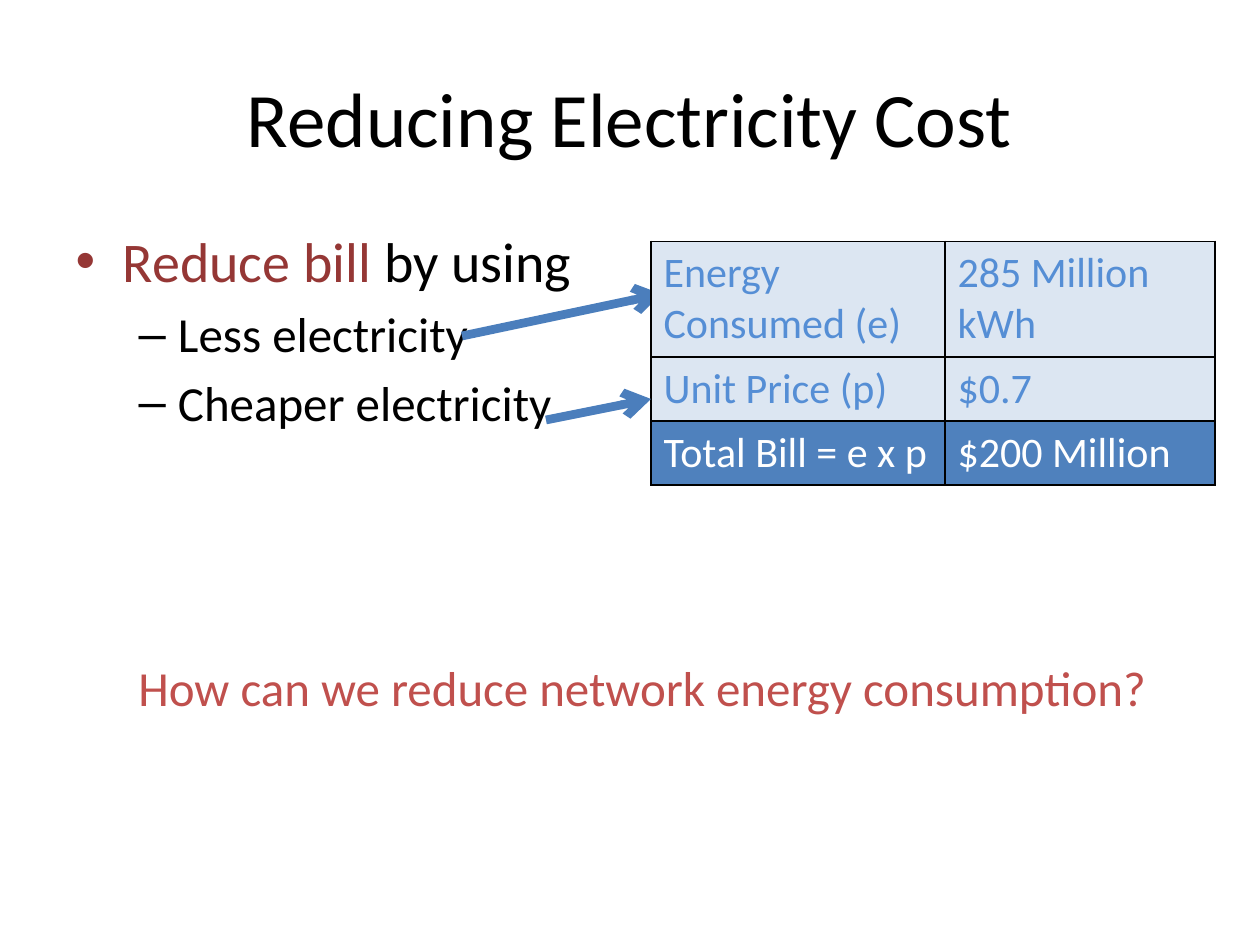
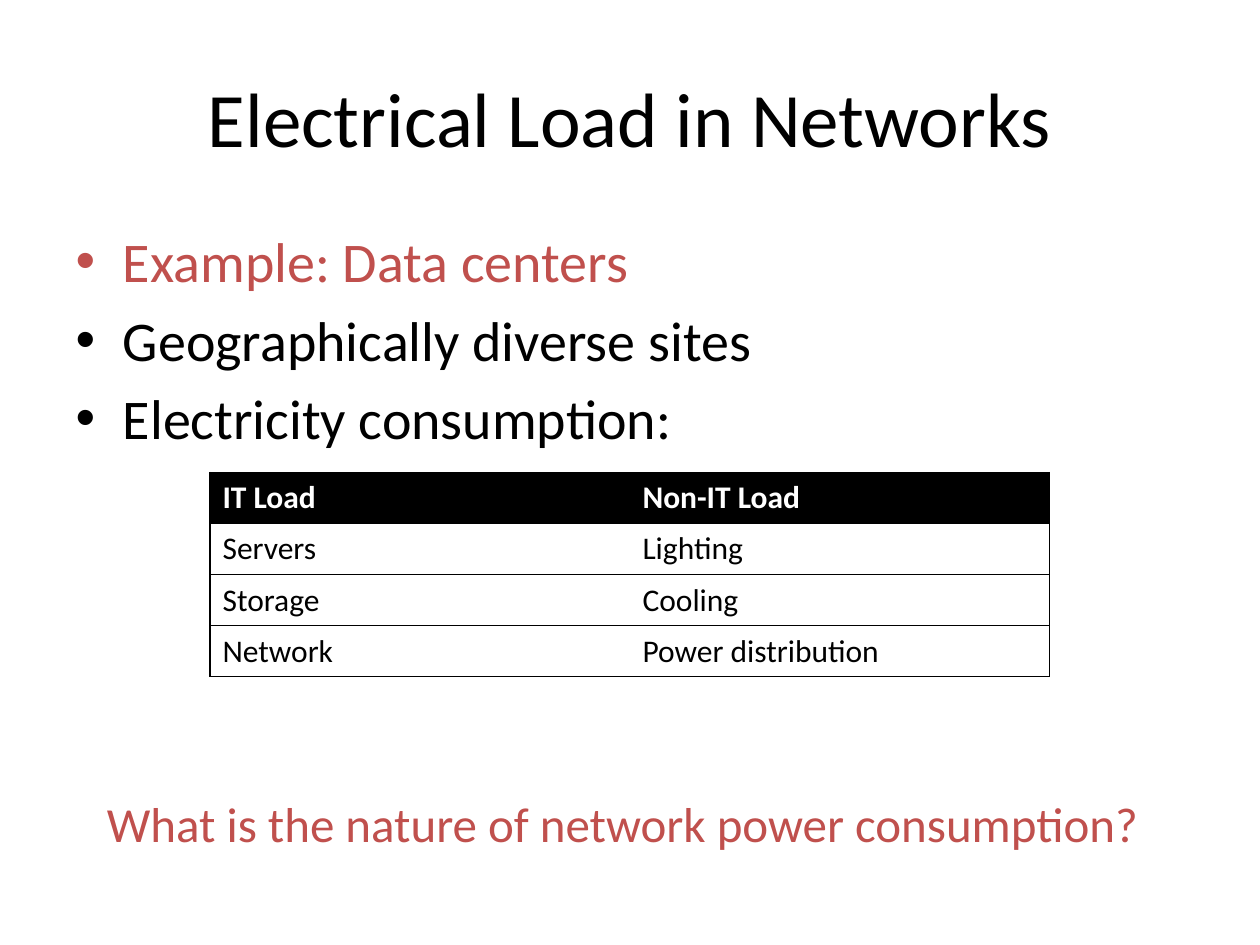
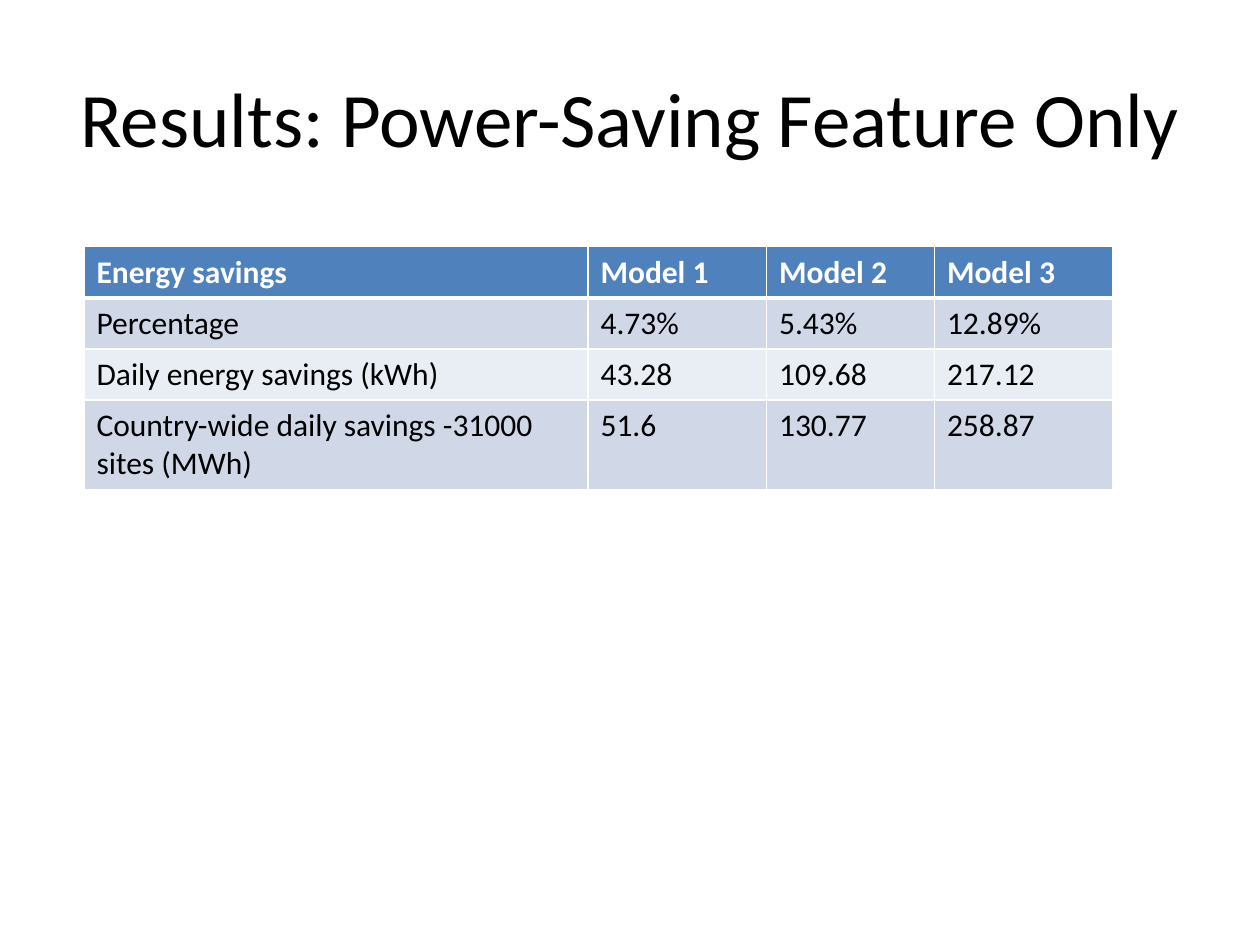
from lxml import etree
from pptx import Presentation
from pptx.dml.color import RGBColor as RGB
from pptx.enum.shapes import MSO_CONNECTOR as CONNECTOR
from pptx.enum.text import MSO_AUTO_SIZE as AUTO_SIZE
from pptx.oxml.ns import qn
from pptx.util import Inches, Pt

FONT = "Calibri"
C = {
    "black": "000000", "white": "FFFFFF", "red": "C0504D", "dark_red": "953735",
    "blue": "4F81BD", "text_blue": "558ED5", "pale_blue": "DCE6F2",
    "arrow": "4B7EBC", "band_dark": "D0D8E8", "band_light": "E9EDF4",
}
C = {name: RGB.from_string(value) for name, value in C.items()}
NO_STYLE = "{2D5ABB26-0587-4C30-8999-92F81FD0307C}"
TITLE_AND_BODY, TITLE_ONLY = 1, 5

prs = Presentation()
prs.slide_width, prs.slide_height = Inches(10), Inches(7.5)
U = prs.slide_width // 120  # grid of 120 columns by 90 rows


def add_table(slide, left, top, widths, heights, rows, looks, size, line,
              inner_verticals=True, header_rule=None):
    """Places are in grid units; looks holds (fill, text colour, bold) per row."""
    frame = slide.shapes.add_table(len(rows), len(widths), int(left * U), int(top * U),
                                   int(sum(widths) * U), int(sum(heights) * U))
    table = frame.table
    table.first_row = table.horz_banding = False
    table._tbl.tblPr.find(qn("a:tableStyleId")).text = NO_STYLE
    for column, width in zip(table.columns, widths):
        column.width = int(width * U)
    line_color, line_width = line
    last = len(widths) - 1
    for i, (texts, (fill, color, bold)) in enumerate(zip(rows, looks)):
        table.rows[i].height = int(heights[i] * U)
        for j, text in enumerate(texts):
            cell = table.cell(i, j)
            sides = {
                "L": line_width if inner_verticals or j == 0 else 0,
                "R": line_width if inner_verticals or j == last else 0,
                "T": header_rule if header_rule and i == 1 else line_width,
                "B": header_rule if header_rule and i == 0 else line_width,
            }
            tc_pr = cell._tc.get_or_add_tcPr()
            for side, width in sides.items():
                if width:
                    ln = etree.SubElement(tc_pr, qn(f"a:ln{side}"), w=str(Pt(width)))
                    solid = etree.SubElement(ln, qn("a:solidFill"))
                    etree.SubElement(solid, qn("a:srgbClr"), val=str(line_color))
            if fill:
                cell.fill.solid()
                cell.fill.fore_color.rgb = fill
            else:
                cell.fill.background()
            cell.text = text
            font = cell.text_frame.paragraphs[0].font
            font.name, font.size, font.bold = FONT, Pt(size), bold
            font.color.rgb = color


def add_arrow(slide, *ends):
    arrow = slide.shapes.add_connector(CONNECTOR.STRAIGHT, *(n * U for n in ends))
    arrow.line.color.rgb = C["arrow"]
    arrow.line.width = Pt(5)
    etree.SubElement(arrow.line._get_or_add_ln(), qn("a:tailEnd"), type="arrow")
    etree.SubElement(arrow._element.spPr, qn("a:effectLst"))


# Slides, titles and lists; each list item is (level, [(text, colour), ...])
pages = [
    ("Reducing Electricity Cost", [
        (0, [("Reduce bill", C["dark_red"]), (" by using", C["black"])]),
        (1, [("Less electricity", C["black"])]),
        (1, [("Cheaper electricity", C["black"])]),
    ]),
    ("Electrical Load in Networks", [
        (0, [("Example: Data centers", C["red"])]),
        (0, [("Geographically diverse sites", C["black"])]),
        (0, [("Electricity consumption:", C["black"])]),
    ]),
    ("Results: Power-Saving Feature Only", []),
]
for title, items in pages:
    layout = prs.slide_layouts[TITLE_AND_BODY if items else TITLE_ONLY]
    s = prs.slides.add_slide(layout)
    s.shapes.title.text = title
    for i, (level, runs) in enumerate(items):
        tf = s.placeholders[1].text_frame
        p = tf.add_paragraph() if i else tf.paragraphs[0]
        p.level = level
        for text, color in runs:
            r = p.add_run()
            r.text = text
            r.font.color.rgb = color
cost, load, results = prs.slides

# Electricity cost: the first arrow runs under the table
add_arrow(cost, 44, 32, 63, 28)
term = (C["pale_blue"], C["text_blue"], False)
add_table(
    cost, 62, 23, [28, 25.7], [11, 6.1, 6.1],
    [["Energy Consumed (e)", "285 Million kWh"],
     ["Unit Price (p)", "$0.7"],
     ["Total Bill = e x p", "$200 Million"]],
    [term, term, (C["blue"], C["white"], False)],
    size=24, line=(C["black"], 1))
add_arrow(cost, 52, 40, 62, 38)

# Electrical load
add_table(
    load, 20, 45, [40, 40], [4.87] * 4,
    [["IT Load", "Non-IT Load"],
     ["Servers", "Lighting"],
     ["Storage", "Cooling"],
     ["Network", "Power distribution"]],
    [(C["black"], C["white"], True)] + [(None, C["black"], False)] * 3,
    size=18, line=(C["black"], 0.75), inner_verticals=False)

# Savings results
dark_band = (C["band_dark"], C["black"], False)
light_band = (C["band_light"], C["black"], False)
add_table(
    results, 8, 23.5, [48, 17, 16, 17], [4.87, 4.87, 4.87, 8.4],
    [["Energy savings", "Model 1", "Model 2", "Model 3"],
     ["Percentage", "4.73%", "5.43%", "12.89%"],
     ["Daily energy savings (kWh)", "43.28", "109.68", "217.12"],
     ["Country-wide daily savings -31000 sites (MWh)", "51.6", "130.77", "258.87"]],
    [(C["blue"], C["white"], True), dark_band, light_band, dark_band],
    size=18, line=(C["white"], 1), header_rule=3)

# Closing questions
questions = [
    (cost, 12, 62, 99.5, "How can we reduce network energy consumption?"),
    (load, 9, 75, 101.8, "What is the nature of network power consumption?"),
]
for s, left, top, width, text in questions:
    box = s.shapes.add_textbox(left * U, top * U, int(width * U), int(6.9 * U))
    tf = box.text_frame
    tf.word_wrap = False
    tf.auto_size = AUTO_SIZE.SHAPE_TO_FIT_TEXT
    p = tf.paragraphs[0]
    p.text = text
    p.font.name, p.font.size = FONT, Pt(28)
    p.font.color.rgb = C["red"]

prs.save("out.pptx")
